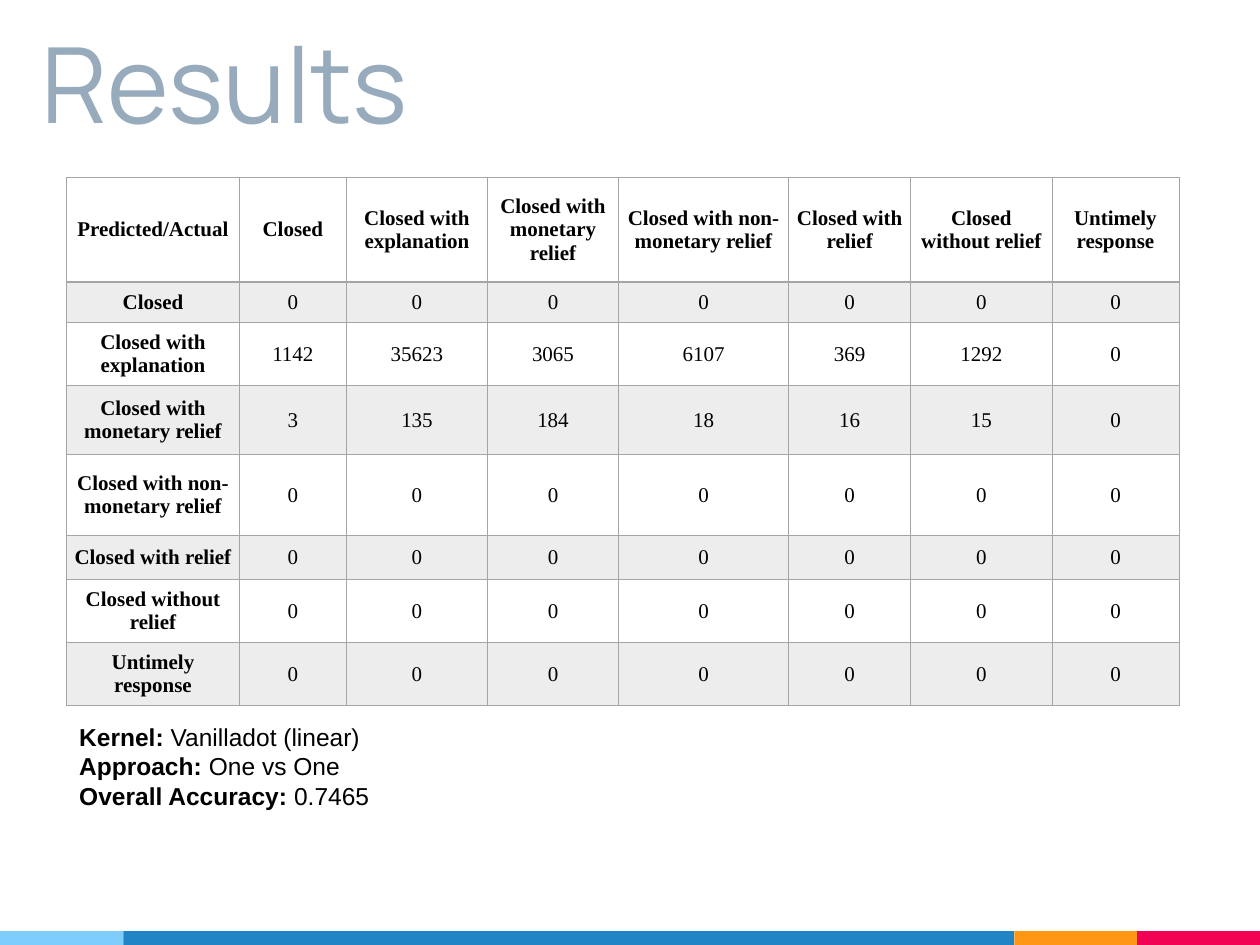
from dataclasses import dataclass

from lxml import etree
from pptx import Presentation
from pptx.dml.color import RGBColor
from pptx.enum.shapes import MSO_SHAPE
from pptx.enum.text import MSO_ANCHOR, PP_ALIGN
from pptx.oxml.ns import qn
from pptx.util import Inches, Pt

RECT = MSO_SHAPE.RECTANGLE
TOP, MIDDLE, BOTTOM = MSO_ANCHOR.TOP, MSO_ANCHOR.MIDDLE, MSO_ANCHOR.BOTTOM
CENTER = PP_ALIGN.CENTER


@dataclass(frozen=True)
class Theme:
    title: str = "97ABBC"
    ink: str = "000000"
    band: str = "EDEDED"
    border: str = "A5A5A5"
    footer: tuple = ("7ECEFD", "2185C5", "FF9715", "F20253")
    title_font: str = "Manrope"
    body_font: str = "Arial"
    table_font: str = "Times New Roman"
    title_size: int = 60
    body_size: int = 14
    table_size: int = 12
    thin: float = 0.5
    thick: float = 1


class Deck:
    """Draws styled elements on a grid of 100 columns by 75 rows."""

    def __init__(self, prs, theme):
        self.theme = theme
        self.unit = prs.slide_width / 100
        self.s = prs.slides.add_slide(prs.slide_layouts[6])

    def grid(self, *values):
        return [round(v * self.unit) for v in values]

    def font(self, p, name, size, color):
        p.font.name, p.font.size = name, Pt(size)
        p.font.color.rgb = RGBColor.from_string(color)

    def bar(self, color, *box):
        sp = self.s.shapes.add_shape(RECT, *self.grid(*box))
        sp.shadow.inherit = False
        sp.fill.solid()
        sp.fill.fore_color.rgb = RGBColor.from_string(color)
        sp.line.fill.background()

    def footer(self, top, height, widths):
        left = 0
        for color, width in zip(self.theme.footer, widths):
            self.bar(color, left, top, width, height)
            left += width

    def text_frame(self, box, anchor, inset):
        tf = self.s.shapes.add_textbox(*self.grid(*box)).text_frame
        tf.word_wrap = True
        tf.vertical_anchor = anchor
        tf.margin_top = tf.margin_bottom = Inches(inset)
        return tf

    def title(self, text, *box):
        p = self.text_frame(box, BOTTOM, 0.1).paragraphs[0]
        p.text = text
        self.font(p, self.theme.title_font, self.theme.title_size, self.theme.title)

    def facts(self, pairs, *box):
        tf = self.text_frame(box, TOP, 0.05)
        for i, (label, value) in enumerate(pairs):
            p = tf.add_paragraph() if i else tf.paragraphs[0]
            r = p.add_run()
            r.text, r.font.bold = f"{label}: ", True
            p.add_run().text = value
            self.font(p, self.theme.body_font, self.theme.body_size, self.theme.ink)

    def borders(self, cell, top, bottom):
        thin = self.theme.thin
        edges = {"a:lnL": thin, "a:lnR": thin, "a:lnT": top, "a:lnB": bottom}
        tc_pr = cell._tc.get_or_add_tcPr()
        for i, (tag, width) in enumerate(edges.items()):
            ln = etree.Element(qn(tag), w=str(Pt(width)))
            fill = etree.SubElement(ln, qn("a:solidFill"))
            etree.SubElement(fill, qn("a:srgbClr"), val=self.theme.border)
            tc_pr.insert(i, ln)

    def cell(self, cell, text, bold, banded):
        cell.margin_left = cell.margin_right = Inches(0.05)
        cell.margin_top = cell.margin_bottom = Inches(0.05)
        cell.vertical_anchor = MIDDLE
        if banded:
            cell.fill.solid()
            cell.fill.fore_color.rgb = RGBColor.from_string(self.theme.band)
        else:
            cell.fill.background()
        p = cell.text_frame.paragraphs[0]
        p.text, p.alignment = text, CENTER
        self.font(p, self.theme.table_font, self.theme.table_size, self.theme.ink)
        p.font.bold = bold

    def table(self, rows, left, top, widths, heights):
        box = self.grid(left, top, sum(widths), sum(heights))
        table = self.s.shapes.add_table(len(heights), len(widths), *box).table
        for column, width in zip(table.columns, self.grid(*widths)):
            column.width = width
        for row, height in zip(table.rows, self.grid(*heights)):
            row.height = height
        thin, thick = self.theme.thin, self.theme.thick
        for i, row in enumerate(rows):
            for j, value in enumerate(row):
                cell = table.cell(i, j)
                self.cell(cell, str(value), i == 0 or j == 0, i % 2 == 1)
                self.borders(cell, thick if i == 1 else thin, thick if i == 0 else thin)


OUTCOMES = [
    "Closed",
    "Closed with explanation",
    "Closed with monetary relief",
    "Closed with non-monetary relief",
    "Closed with relief",
    "Closed without relief",
    "Untimely response",
]
COUNTS = {
    "Closed with explanation": [1142, 35623, 3065, 6107, 369, 1292, 0],
    "Closed with monetary relief": [3, 135, 184, 18, 16, 15, 0],
}
SUMMARY = [
    ("Kernel", "Vanilladot (linear)"),
    ("Approach", "One vs One"),
    ("Overall Accuracy", "0.7465"),
]


def main():
    prs = Presentation()
    prs.slide_width, prs.slide_height = Inches(10), Inches(7.5)
    deck = Deck(prs, Theme())
    deck.footer(73.9, 1.1, [9.8, 70.7, 9.75, 9.75])
    deck.title("Results", 2.3, 0, 83.4, 12.5)
    deck.facts(SUMMARY, 5.3, 56.8, 26.2, 8.1)
    no_cases = [0] * len(OUTCOMES)
    matrix = [["Predicted/Actual", *OUTCOMES]]
    matrix += [[name, *COUNTS.get(name, no_cases)] for name in OUTCOMES]
    deck.table(
        matrix, 5.3, 14.1,
        widths=[13.7, 8.5, 11.2, 10.4, 13.5, 9.7, 11.2, 10.1],
        heights=[8.3, 3.2, 4.9, 5.5, 6.4, 3.5, 4.9, 4.9],
    )
    prs.save("out.pptx")


if __name__ == "__main__":
    main()
